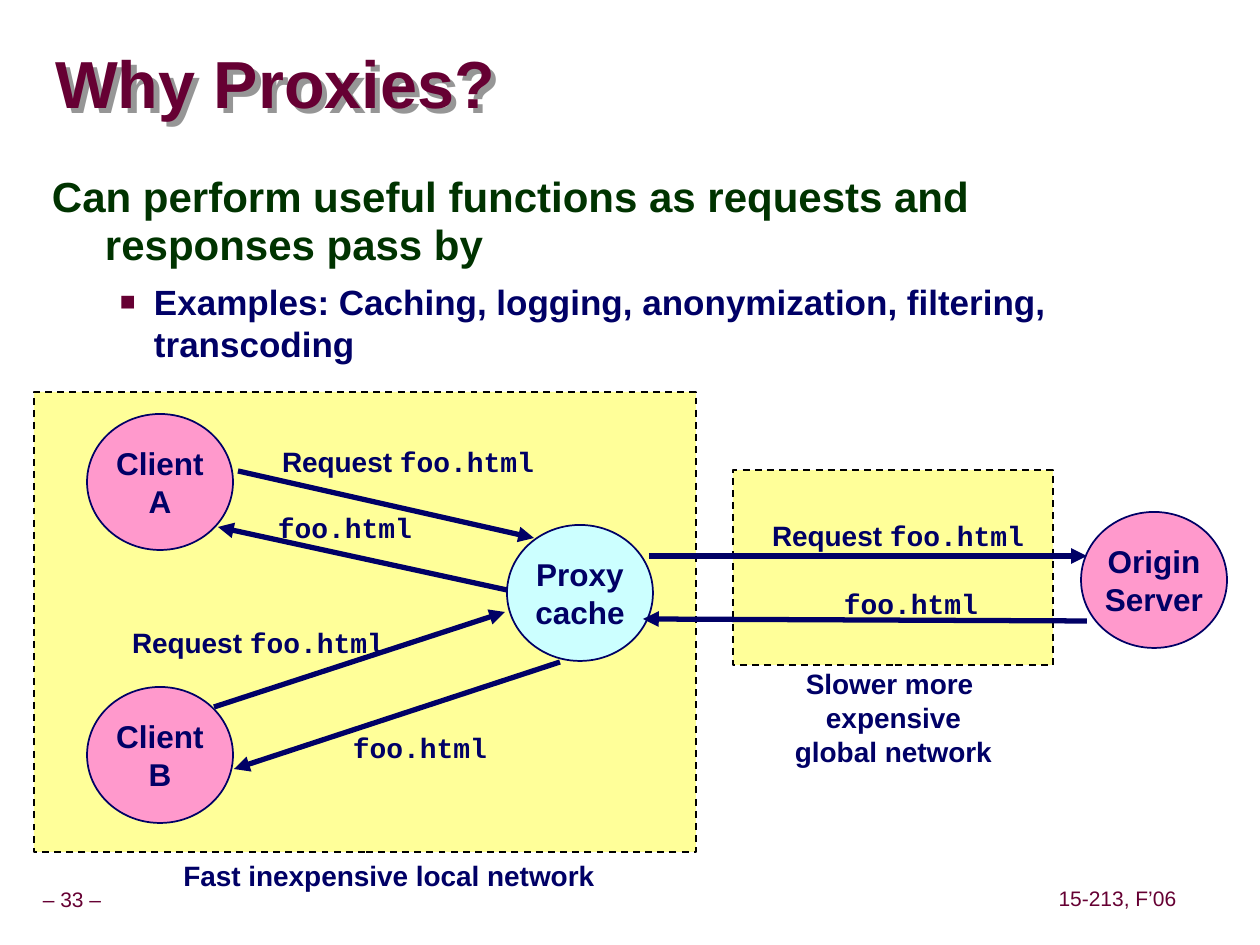
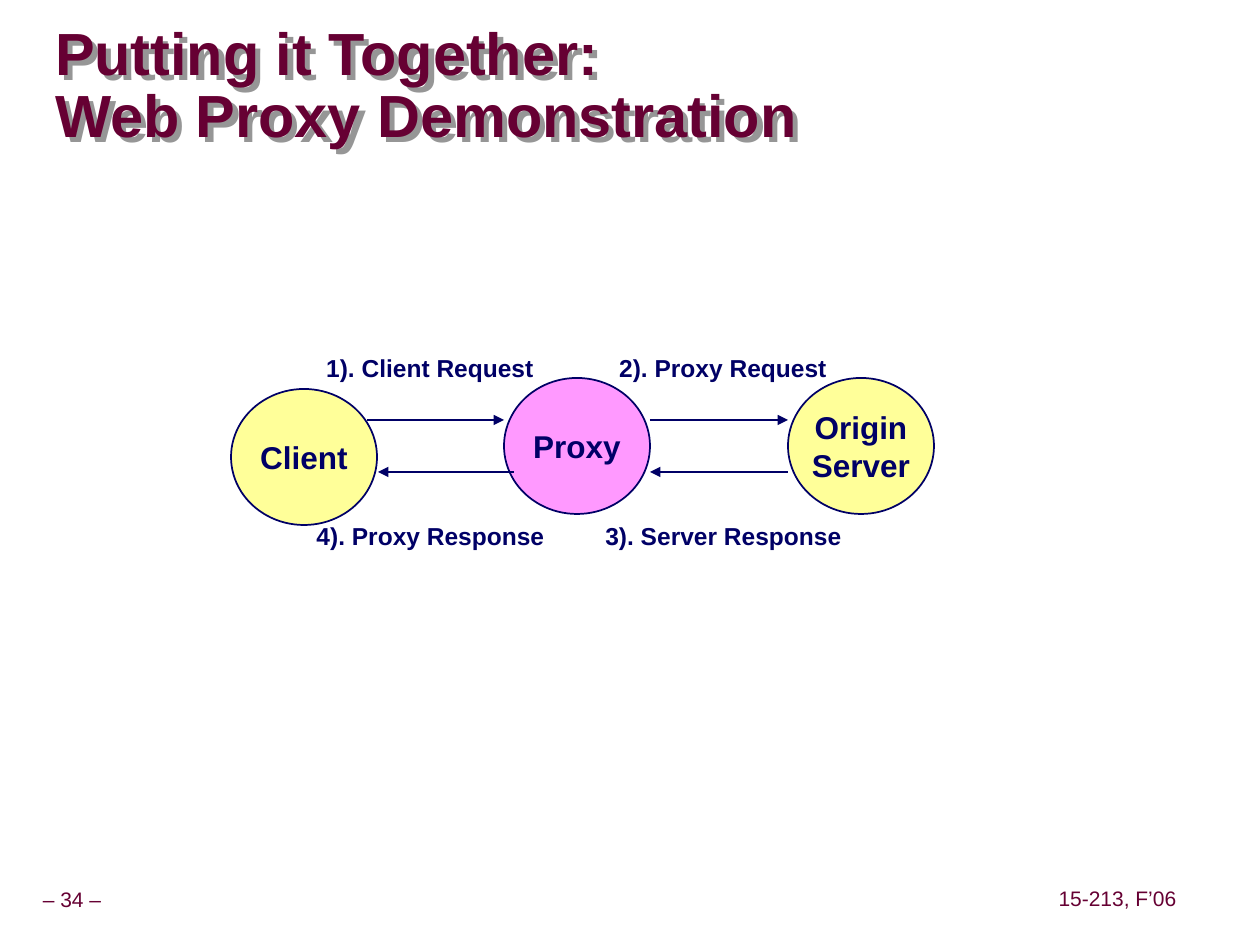
from lxml import etree
from pptx import Presentation
from pptx.dml.color import RGBColor
from pptx.enum.dml import MSO_LINE
from pptx.enum.shapes import MSO_CONNECTOR, MSO_SHAPE
from pptx.enum.text import MSO_ANCHOR, MSO_AUTO_SIZE, PP_ALIGN
from pptx.oxml.ns import qn
from pptx.util import Emu, Pt

LEFT, CENTER = PP_ALIGN.LEFT, PP_ALIGN.CENTER
TOP, MIDDLE = MSO_ANCHOR.TOP, MSO_ANCHOR.MIDDLE
FIXED, GROW = MSO_AUTO_SIZE.NONE, MSO_AUTO_SIZE.SHAPE_TO_FIT_TEXT
DASH = MSO_LINE.DASH

WHITE = RGBColor(0xFF, 0xFF, 0xFF)
BLACK = RGBColor(0x00, 0x00, 0x00)
MAROON = RGBColor(0x66, 0x00, 0x33)
GREEN = RGBColor(0x00, 0x33, 0x00)
NAVY = RGBColor(0x00, 0x00, 0x66)
YELLOW = RGBColor(0xFF, 0xFF, 0x99)
PINK = RGBColor(0xFF, 0x99, 0xCC)
MAGENTA = RGBColor(0xFF, 0x99, 0xFF)
CYAN = RGBColor(0xCC, 0xFF, 0xFF)
GRAY = RGBColor(0x96, 0x96, 0x96)

SANS, MONO = "Arial", "Courier New"
EMU_PER_PX = 914400 / 126
TITLE_AND_BODY, TITLE_ONLY = 1, 5
NODE_W, NODE_H = 146, 136
FILE = ("foo.html", MONO)
REQUEST = ("Request ", SANS)


def px(length):
    return Emu(round(length * EMU_PER_PX))


def add_xml(parent, tag, **attributes):
    return etree.SubElement(parent, qn(tag), attributes)


class Deck:
    """Holds the shared style and the slide being built."""

    def __init__(self):
        self.prs = Presentation()
        self.prs.slide_width, self.prs.slide_height = px(1260), px(945)
        self.slide = None

    def new_slide(self, layout, number, title_lines, title_size):
        self.slide = self.prs.slides.add_slide(self.prs.slide_layouts[layout])
        self.slide.background.fill.solid()
        self.slide.background.fill.fore_color.rgb = WHITE
        self.title(title_lines, title_size)
        self.footer(f"– {number} –", 0, 883, 144)
        self.footer("15-213, F’06", 1052, 882, 131)

    def place(self, shape, left, top, width, height):
        shape.left, shape.top = px(left), px(top)
        shape.width, shape.height = px(width), px(height)

    def frame(self, shape, anchor, fit, wrap, inset_x=12, inset_y=6):
        frame = shape.text_frame
        frame.auto_size, frame.word_wrap = fit, wrap
        frame.vertical_anchor = anchor
        frame.margin_left = frame.margin_right = px(inset_x)
        frame.margin_top = frame.margin_bottom = px(inset_y)
        return frame

    def run(self, paragraph, text, size, color=NAVY, font=SANS, bold=True):
        run = paragraph.add_run()
        run.text = text
        run.font.size, run.font.name, run.font.bold = Pt(size), font, bold
        run.font.color.rgb = color

    def lines(self, frame, lines, size, align=CENTER):
        """Write one paragraph per line; a line is a list of (text, font)."""
        for i, parts in enumerate(lines):
            paragraph = frame.add_paragraph() if i else frame.paragraphs[0]
            paragraph.alignment = align
            for text, font in parts:
                self.run(paragraph, text, size, font=font)

    def title(self, title_lines, size):
        title = self.slide.shapes.title
        self.place(title, 55, 34, 1201, 107)
        paragraph = self.frame(title, MIDDLE, FIXED, True, 0, 0).paragraphs[0]
        paragraph.alignment, paragraph.line_spacing = LEFT, 0.87
        for i, line in enumerate(title_lines):
            if i:
                paragraph.add_line_break()
            self.run(paragraph, line, size, MAROON)
        # An unfilled box casts the shadow of its letters
        effects = add_xml(title._element.spPr, "a:effectLst")
        shadow = add_xml(effects, "a:outerShdw", dist="54000", dir="2700000",
                         algn="tl", rotWithShape="0")
        add_xml(shadow, "a:srgbClr", val=str(GRAY))

    def footer(self, text, left, top, width):
        box = self.slide.shapes.add_textbox(px(left), px(top), px(width), px(35))
        paragraph = self.frame(box, MIDDLE, GROW, False, 6, 6).paragraphs[0]
        paragraph.alignment, paragraph.line_spacing = CENTER, 0.9
        self.run(paragraph, text, 12, MAROON, bold=False)

    def body(self, heading, example):
        body = self.slide.placeholders[1]
        self.place(body, 40, 168, 1145, 228)
        frame = self.frame(body, TOP, FIXED, True)

        first = frame.paragraphs[0]
        self.indent(first, 53, -53)
        add_xml(first._p.get_or_add_pPr(), "a:buNone")
        first.line_spacing, first.space_before = 0.95, Pt(0)
        self.run(first, heading, 24, GREEN)

        second = frame.add_paragraph()
        second.level = 1
        self.indent(second, 102, -34)
        bullet = second._p.get_or_add_pPr()
        add_xml(add_xml(bullet, "a:buClr"), "a:srgbClr", val=str(MAROON))
        add_xml(bullet, "a:buSzPct", val="75000")
        add_xml(bullet, "a:buFont", typeface=SANS)
        add_xml(bullet, "a:buChar", char="■")
        second.space_before = Pt(6.2)
        self.run(second, example, 20)

    def indent(self, paragraph, margin, first_line):
        properties = paragraph._p.get_or_add_pPr()
        properties.set("marL", str(px(margin)))
        properties.set("indent", str(px(first_line)))
        paragraph.alignment = LEFT

    def shape(self, preset, left, top, width, height, fill, line):
        shape = self.slide.shapes.add_shape(
            preset, px(left), px(top), px(width), px(height))
        shape.shadow.inherit = False
        shape.fill.solid()
        shape.fill.fore_color.rgb = fill
        shape.line.color.rgb, shape.line.width = line, Pt(1)
        return shape

    def network(self, left, top, width, height):
        area = self.shape(MSO_SHAPE.RECTANGLE, left, top, width, height, YELLOW, BLACK)
        area.line.dash_style = DASH

    def node(self, left, top, fill, *words):
        circle = self.shape(MSO_SHAPE.OVAL, left, top, NODE_W, NODE_H, fill, NAVY)
        frame = self.frame(circle, MIDDLE, FIXED, False)
        self.lines(frame, [[(word, SANS)] for word in words], 18)

    def label(self, left, top, width, height, lines, size=16, align=CENTER, wrap=False):
        box = self.slide.shapes.add_textbox(px(left), px(top), px(width), px(height))
        self.lines(self.frame(box, TOP, GROW, wrap), lines, size, align)

    def arrow(self, start, end, weight):
        arrow = self.slide.shapes.add_connector(
            MSO_CONNECTOR.STRAIGHT, *map(px, start + end))
        arrow.line.color.rgb, arrow.line.width = NAVY, Pt(weight)
        add_xml(arrow.line._get_or_add_ln(), "a:tailEnd", type="triangle")
        add_xml(arrow._element.spPr, "a:effectLst")


def why_proxies(deck):
    deck.new_slide(TITLE_AND_BODY, 33, ["Why Proxies?"], 38)
    deck.body("Can perform useful functions as requests and responses pass by",
              "Examples: Caching, logging, anonymization, filtering, transcoding")

    # Global and local networks
    deck.network(733, 470, 320, 195)
    deck.network(34, 392, 662, 460)

    # Hosts
    deck.node(87, 414, PINK, "Client", "A")
    deck.node(87, 687, PINK, "Client", "B")
    deck.node(507, 525, CYAN, "Proxy", "cache")
    deck.node(1081, 512, PINK, "Origin", "Server")

    # Messages: sender, receiver, label position, label text
    request, response = [REQUEST, FILE], [FILE]
    messages = [
        ((238, 471), (534, 538), (270, 438), request),
        ((507, 590), (218, 527), (266, 505), response),
        ((649, 556), (1087, 556), (760, 513), request),
        ((1087, 621), (643, 619), (832, 581), response),
        ((214, 707), (505, 612), (120, 620), request),
        ((560, 662), (234, 769), (341, 725), response),
    ]
    for sender, receiver, position, parts in messages:
        deck.arrow(sender, receiver, 3)
        width = 284 if parts is request else 166
        deck.label(*position, width, 47, [parts], align=LEFT)

    # Network captions
    deck.label(167, 853, 444, 47, [[("Fast inexpensive local network", SANS)]])
    slower = ["Slower more ", "expensive", "global network"]
    deck.label(777, 661, 233, 113, [[(line, SANS)] for line in slower], wrap=True)


def proxy_demonstration(deck):
    deck.new_slide(TITLE_ONLY, 34,
                   ["Putting it Together:", "Web Proxy Demonstration"], 34)

    # Hosts
    deck.node(231, 389, YELLOW, "Client")
    deck.node(788, 378, YELLOW, "Origin", "Server")
    deck.node(504, 378, MAGENTA, "Proxy")

    # Requests run right on the upper row, responses left on the lower row
    request_y, response_y = 420, 472
    request_label_y, response_label_y = 347, 515
    steps = [
        ("1). Client Request", 367, 504, request_y, 310, request_label_y, 240),
        ("2). Proxy Request", 650, 788, request_y, 603, request_label_y, 240),
        ("3). Server Response", 788, 650, response_y, 589, response_label_y, 269),
        ("4). Proxy Response", 514, 378, response_y, 300, response_label_y, 261),
    ]
    for text, start_x, end_x, y, label_x, label_y, width in steps:
        deck.arrow((start_x, y), (end_x, y), 1)
        deck.label(label_x, label_y, width, 43, [[(text, SANS)]], size=14)


def main():
    deck = Deck()
    why_proxies(deck)
    proxy_demonstration(deck)
    deck.prs.save("out.pptx")


if __name__ == "__main__":
    main()
